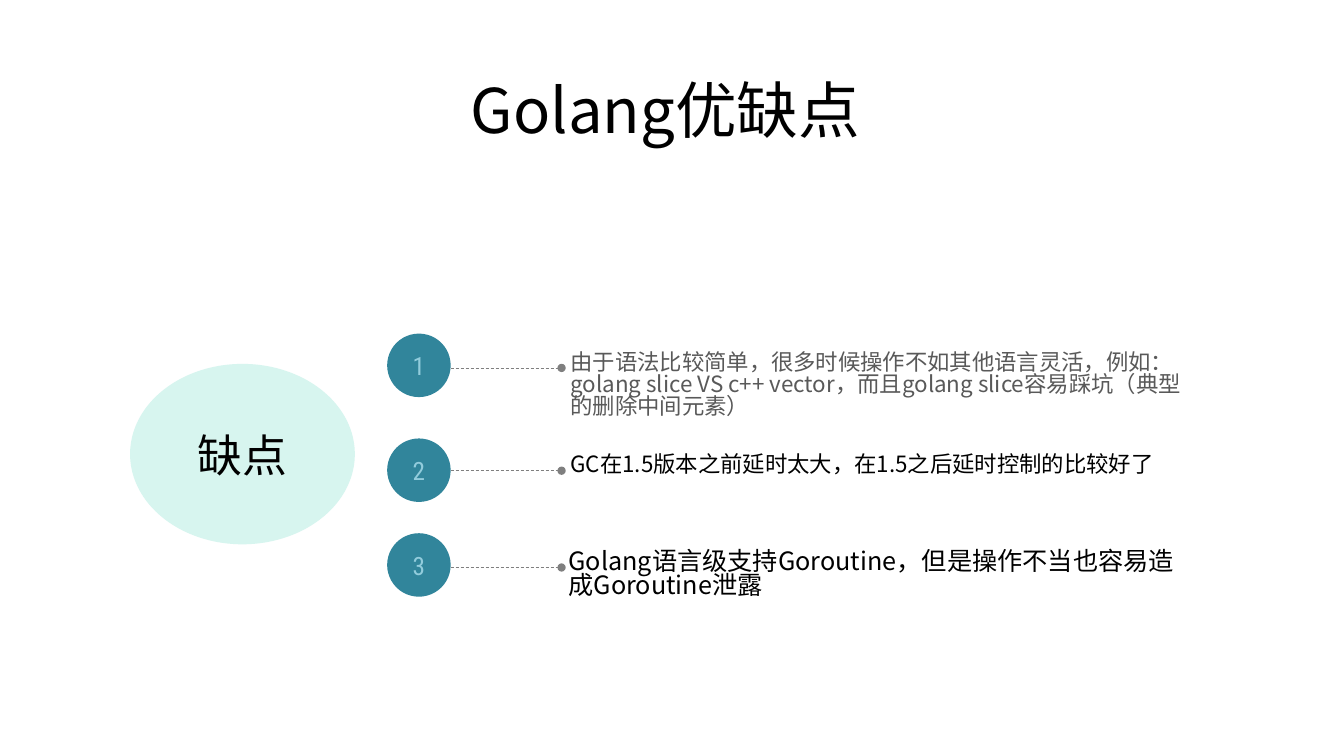
from lxml import etree
from pptx import Presentation
from pptx.dml.color import RGBColor
from pptx.enum.dml import MSO_LINE
from pptx.enum.shapes import MSO_CONNECTOR, MSO_SHAPE
from pptx.enum.text import MSO_ANCHOR, PP_ALIGN
from pptx.oxml.ns import qn
from pptx.util import Pt

PX = 9144  # 100 px to the inch

BLACK = RGBColor(0x00, 0x00, 0x00)
GRAY = RGBColor(0x59, 0x59, 0x59)
LINE_GRAY = RGBColor(0x7F, 0x7F, 0x7F)
TEAL = RGBColor(0x31, 0x85, 0x9B)
LIGHT_BLUE = RGBColor(0x92, 0xCC, 0xDC)
MINT = RGBColor(0xD7, 0xF5, 0xEF)

OVAL, STRAIGHT, DASH = MSO_SHAPE.OVAL, MSO_CONNECTOR.STRAIGHT, MSO_LINE.DASH
TOP, MIDDLE = MSO_ANCHOR.TOP, MSO_ANCHOR.MIDDLE
LEFT, CENTER = PP_ALIGN.LEFT, PP_ALIGN.CENTER

CJK = "Noto Sans CJK SC"
NUMBER_FONT = "Roboto Condensed"
BADGE = 63

# circle top, line y, text left and top, size, colour, text
DRAWBACKS = [
    (331, 365, 556, 345, 16, GRAY,
     "由于语法比较简单，很多时候操作不如其他语言灵活，例如：golang slice VS c++ vector，"
     "而且golang slice容易踩坑（典型的删除中间元素）"),
    (435, 467, 556, 446, 16, BLACK,
     "GC在1.5版本之前延时太大，在1.5之后延时控制的比较好了"),
    (529, 563, 554, 541, 18, BLACK,
     "Golang语言级支持Goroutine，但是操作不当也容易造成Goroutine泄露"),
]


def emu(*lengths):
    return [n * PX for n in lengths]


def write(sp, text, size, color, font=CJK, align=CENTER, anchor=MIDDLE, spacing=1.0):
    tf = sp.text_frame
    tf.word_wrap = True
    tf.vertical_anchor = anchor
    p = tf.paragraphs[0]
    p.alignment, p.line_spacing = align, spacing
    r = p.add_run()
    r.text = text
    for name, value in {"size": Pt(size), "name": font}.items():
        setattr(r.font, name, value)
    r.font.color.rgb = color
    # East Asian characters take their own font entry
    ea = etree.Element(qn("a:ea"), typeface=CJK)
    r.font._element.find(qn("a:latin")).addnext(ea)


def add_text(s, box, text, size, color, **fmt):
    write(s.shapes.add_textbox(*emu(*box)), text, size, color, **fmt)


def add_oval(s, box, fill, text, size, color, font):
    sp = s.shapes.add_shape(OVAL, *emu(*box))
    sp.shadow.inherit = False
    sp.fill.solid()
    sp.fill.fore_color.rgb = fill
    sp.line.fill.background()
    write(sp, text, size, color, font)


def add_leader(s, x1, x2, y):
    line = s.shapes.add_connector(STRAIGHT, *emu(x1, y, x2, y))
    line.line.color.rgb = LINE_GRAY
    line.line.width = Pt(0.5)
    line.line.dash_style = DASH
    props = line._element.spPr
    etree.SubElement(props.find(qn("a:ln")), qn("a:tailEnd"), type="oval")
    etree.SubElement(props, qn("a:effectLst"))


def add_drawbacks(s, left):
    """Numbered circles, each led to its text by a dashed line."""
    for i, (top, line_y, text_x, text_y, size, color, text) in enumerate(DRAWBACKS, 1):
        add_oval(s, (left, top, BADGE, BADGE), TEAL, str(i), 18, LIGHT_BLUE, NUMBER_FONT)
        add_leader(s, left + BADGE, left + 173, line_y)
        add_text(s, (text_x, text_y, 630, 24), text, size, color,
                 align=LEFT, anchor=TOP, spacing=0.82)


def main():
    prs = Presentation()
    prs.slide_width, prs.slide_height = emu(1333, 750)
    s = prs.slides.add_slide(prs.slide_layouts[6])
    # Title
    add_text(s, (92, 40, 1150, 145), "Golang优缺点 ", 44, BLACK, spacing=0.9)
    # Numbered list
    add_drawbacks(s, 384)
    # Topic
    add_oval(s, (129, 361, 223, 179), MINT, "缺点", 32, BLACK, "Arial")
    prs.save("out.pptx")


if __name__ == "__main__":
    main()
